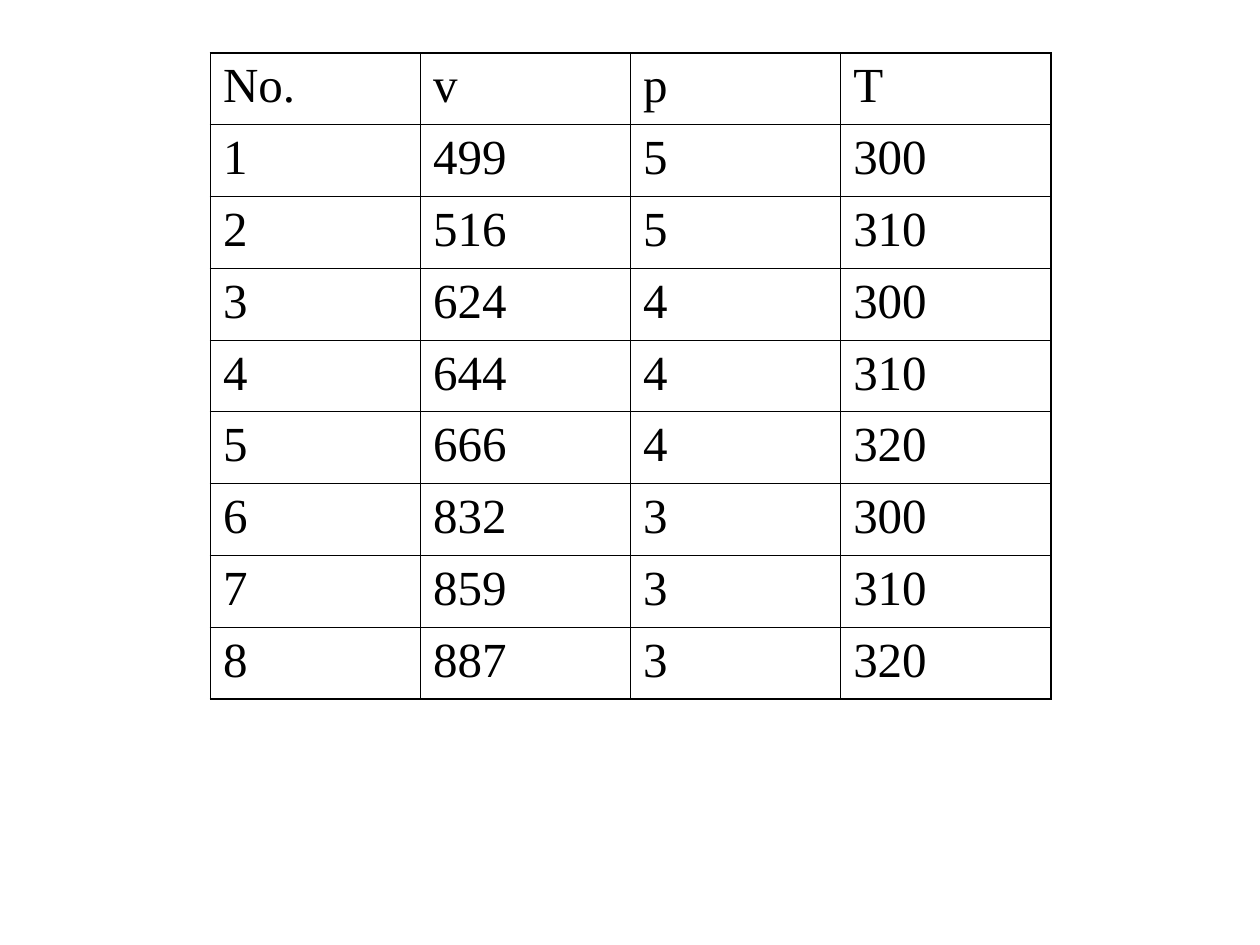
from dataclasses import dataclass

from lxml.etree import SubElement
from pptx import Presentation
from pptx.dml.color import RGBColor
from pptx.oxml.ns import qn
from pptx.util import Inches, Pt


@dataclass(frozen=True)
class Theme:
    ink: str = "000000"
    font: str = "Times New Roman"
    size: float = 28
    space_before: float = 7
    inner_line: float = 0.45
    outer_line: float = 1.08


THEME = Theme()
HEADER = ("No.", "v", "p", "T")
STATES = (
    (499, 5, 300),
    (516, 5, 310),
    (624, 4, 300),
    (644, 4, 310),
    (666, 4, 320),
    (832, 3, 300),
    (859, 3, 310),
    (887, 3, 320),
)


def set_text(tf, text, *, font=THEME.font, size=THEME.size, color=THEME.ink):
    p = tf.paragraphs[0]
    p.space_before = Pt(THEME.space_before)
    r = p.add_run()
    r.text = text
    r.font.name = font
    r.font.size = Pt(size)
    r.font.bold = False
    r.font.color.rgb = RGBColor.from_string(color)


def set_borders(cell, outer):
    tc_pr = cell._tc.get_or_add_tcPr()
    for side in "LRTB":
        width = THEME.outer_line if side in outer else THEME.inner_line
        ln = SubElement(tc_pr, qn(f"a:ln{side}"), w=str(int(Pt(width))))
        fill = SubElement(ln, qn("a:solidFill"))
        SubElement(fill, qn("a:srgbClr"), val=THEME.ink)


def outer_sides(row, col, n_rows, n_cols):
    edges = {"L": col == 0, "R": col == n_cols - 1,
             "T": row == 0, "B": row == n_rows - 1}
    return [side for side, is_edge in edges.items() if is_edge]


def add_grid(slide, rows, left, top, width, height):
    n_rows, n_cols = len(rows), len(rows[0])
    table = slide.shapes.add_table(n_rows, n_cols, left, top, width, height).table
    table.first_row = False
    table.horz_banding = False
    for i, values in enumerate(rows):
        for j, value in enumerate(values):
            cell = table.cell(i, j)
            set_text(cell.text_frame, str(value))
            set_borders(cell, outer_sides(i, j, n_rows, n_cols))
            cell.fill.background()


def main():
    prs = Presentation()
    prs.slide_width, prs.slide_height = Inches(10), Inches(7.5)
    slide = prs.slides.add_slide(prs.slide_layouts.get_by_name("Blank"))
    rows = [HEADER] + [(no, *state) for no, state in enumerate(STATES, 1)]
    add_grid(slide, rows, Inches(1.67), Inches(0.42), Inches(6.67), Inches(5.13))
    prs.save("out.pptx")


if __name__ == "__main__":
    main()
